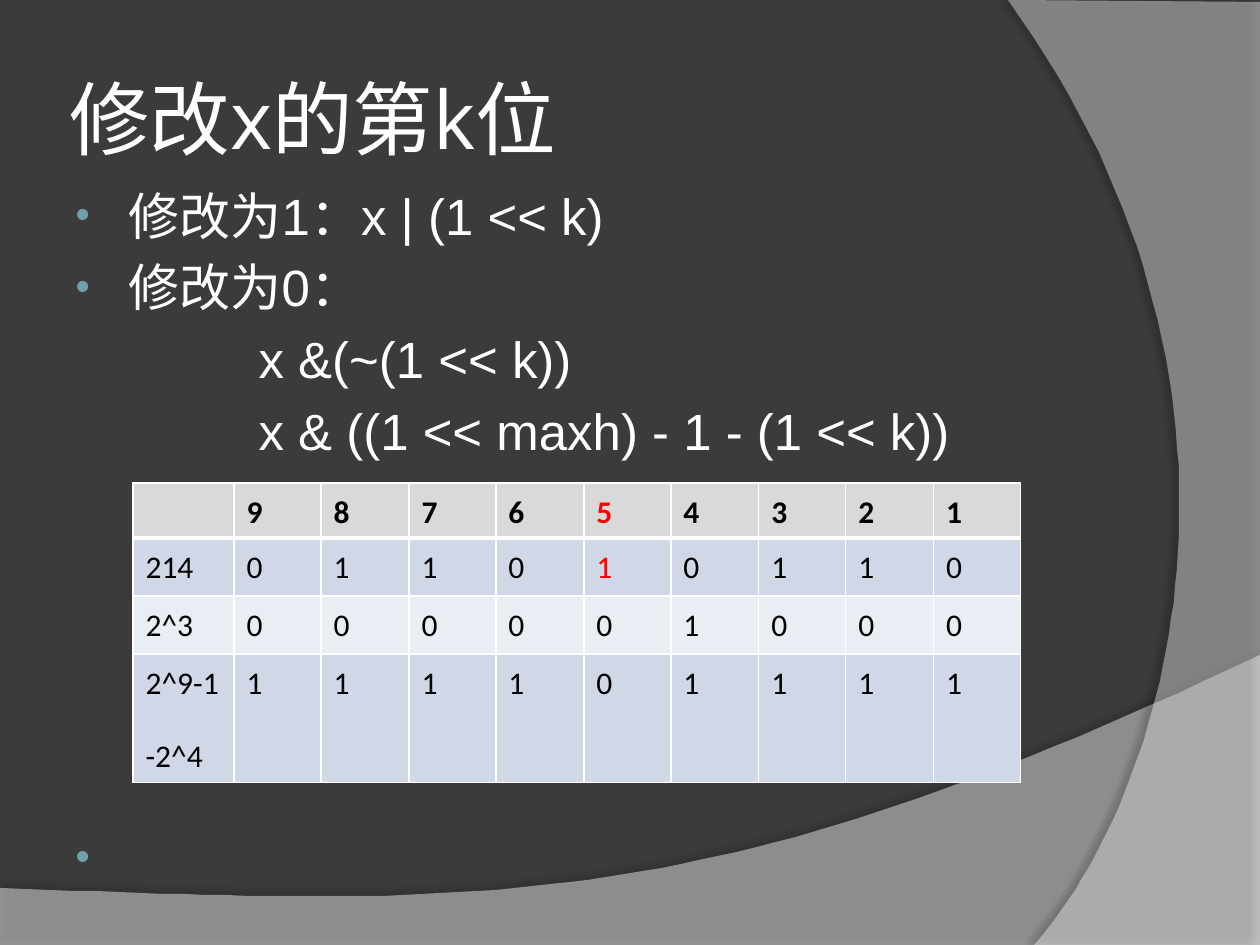
from dataclasses import dataclass

from lxml import etree
from pptx import Presentation
from pptx import util as u
from pptx.dml.color import RGBColor
from pptx.enum import text
from pptx.oxml import parse_xml
from pptx.oxml.ns import nsdecls, qn

PIXEL = 914400 / 126


@dataclass(frozen=True)
class Theme:
    background: str = "3B3B3B"
    light: str = "FFFFFF"
    ink: str = "000000"
    accent: str = "FF0000"
    bullet: str = "6EA0B0"
    header: str = "D9D9D9"
    bands: tuple = ("D0D8E8", "E9EDF4")
    title_font: str = "Open Sans"
    body_font: str = "Arial"
    table_font: str = "Calibri"
    title_size: float = 46
    body_size: float = 29.1
    table_size: float = 18
    thin: float = 0.96
    thick: float = 3


def px(value):
    return u.Emu(round(value * PIXEL))


def bezier(start, first, second, end, steps=60):
    points = []
    for step in range(1, steps + 1):
        t = step / steps
        weights = ((1 - t) ** 3, 3 * t * (1 - t) ** 2, 3 * t * t * (1 - t), t ** 3)
        corners = (start, first, second, end)
        points.append(tuple(sum(w * c[axis] for w, c in zip(weights, corners))
                            for axis in (0, 1)))
    return points


class SlideBuilder:
    def __init__(self, deck, theme):
        self.theme = theme
        self.page = deck.slides.add_slide(deck.slide_layouts[1])
        fill = self.page.background.fill
        fill.solid()
        fill.fore_color.rgb = RGBColor.from_string(theme.background)

    def span(self, para, words, font, size, color, bold=False):
        span = para.add_run()
        span.text = words
        span.font.name = font
        span.font.size = u.Pt(size)
        span.font.bold = bold
        span.font.color.rgb = RGBColor.from_string(color)

    def swoosh(self, corners, curve, opacity, shadow_opacity, distance, direction):
        points = corners + bezier(corners[-1], *curve)
        builder = self.page.shapes.build_freeform(*points[0], scale=PIXEL)
        builder.add_line_segments(points[1:], close=True)
        shape = builder.convert_to_shape()
        shape.fill.solid()
        shape.fill.fore_color.rgb = RGBColor.from_string(self.theme.light)
        shape.line.fill.background()
        color = shape.element.spPr.find(qn("a:solidFill"))[0]
        etree.SubElement(color, qn("a:alpha"), val=str(opacity * 1000))
        shape.element.spPr.append(parse_xml(
            f'<a:effectLst {nsdecls("a")}><a:outerShdw blurRad="{u.Pt(4)}" '
            f'dist="{u.Pt(distance)}" dir="{direction * 60000}" algn="ctr" rotWithShape="0">'
            f'<a:srgbClr val="{self.theme.ink}"><a:alpha val="{shadow_opacity * 1000}"/>'
            '</a:srgbClr></a:outerShdw></a:effectLst>'))

    def placeholder(self, index, left, top, width, height, anchor, side_inset):
        box = self.page.placeholders[index]
        box.left, box.top, box.width, box.height = map(px, (left, top, width, height))
        frame = box.text_frame
        frame.word_wrap = True
        frame.auto_size = text.MSO_AUTO_SIZE.NONE
        frame.vertical_anchor = anchor
        frame.margin_left = frame.margin_right = u.Inches(side_inset)
        frame.margin_top = frame.margin_bottom = u.Inches(0.05)
        box.element.getparent().append(box.element)
        return frame

    def title(self, words, *place):
        theme = self.theme
        frame = self.placeholder(0, *place, text.MSO_ANCHOR.MIDDLE, 0.05)
        para = frame.paragraphs[0]
        para.alignment = text.PP_ALIGN.LEFT
        self.span(para, words, theme.title_font, theme.title_size, theme.light)

    def body(self, lines, *place):
        theme = self.theme
        frame = self.placeholder(1, *place, text.MSO_ANCHOR.TOP, 0.1)
        for index, (words, bulleted, before) in enumerate(lines):
            para = frame.paragraphs[0] if index == 0 else frame.add_paragraph()
            para.space_before = u.Pt(before)
            self.span(para, words, theme.body_font, theme.body_size, theme.light)
            self.bullet(para, bulleted)

    def bullet(self, para, bulleted):
        props = para._p.get_or_add_pPr()
        props.set("marL", str(px(58 if bulleted else 188)))
        props.set("indent", str(px(-53 if bulleted else 0)))
        if not bulleted:
            etree.SubElement(props, qn("a:buNone"))
            return
        color = etree.SubElement(props, qn("a:buClr"))
        etree.SubElement(color, qn("a:srgbClr"), val=self.theme.bullet)
        etree.SubElement(props, qn("a:buSzPct"), val="80000")
        etree.SubElement(props, qn("a:buFont"), typeface=self.theme.body_font)
        etree.SubElement(props, qn("a:buChar"), char="•")

    def table(self, rows, heights, left, top, width, label_width, marked):
        count = len(rows[0])
        frame = self.page.shapes.add_table(
            len(rows), count, px(left), px(top), px(width), px(sum(heights)))
        table = frame.table
        table.horz_banding = False
        step = (width - label_width) / (count - 1)
        edges = [0] + [round(label_width + step * i) for i in range(count)]
        for column, start, end in zip(table.columns, edges, edges[1:]):
            column.width = px(end - start)
        for r, (words, height) in enumerate(zip(rows, heights)):
            table.rows[r].height = px(height)
            for c, value in enumerate(words):
                self.cell(table.cell(r, c), value, r, (r, c) in marked)

    def cell(self, cell, value, row, is_marked):
        theme = self.theme
        cell.fill.solid()
        cell.fill.fore_color.rgb = RGBColor.from_string(
            theme.bands[(row - 1) % 2] if row else theme.header)
        widths = {"L": theme.thin, "R": theme.thin,
                  "T": theme.thick if row == 1 else theme.thin,
                  "B": theme.thin if row else theme.thick}
        for position, (side, width) in enumerate(widths.items()):
            cell._tc.tcPr.insert(position, parse_xml(
                f'<a:ln{side} {nsdecls("a")} w="{u.Pt(width)}"><a:solidFill>'
                f'<a:srgbClr val="{theme.light}"/></a:solidFill></a:ln{side}>'))
        if not value:
            return
        for index, words in enumerate(value.split("\n")):
            para = cell.text_frame.paragraphs[0] if index == 0 else cell.text_frame.add_paragraph()
            para.alignment = text.PP_ALIGN.JUSTIFY
            para.line_spacing = 1.1
            para.space_before = u.Pt(18)
            self.span(para, words, theme.table_font, theme.table_size,
                      theme.accent if is_marked else theme.ink, row == 0)


deck = Presentation()
deck.slide_width, deck.slide_height = px(1260), px(945)
slide = SlideBuilder(deck, Theme())

slide.swoosh([(0, 888), (0, 945), (1260, 945), (1260, 655)],
             [(704, 919), (493, 906), (0, 888)], 45, 35, 3.5, 270)
slide.swoosh([(1260, 2), (1260, 945), (1034, 945)],
             [(1178, 780), (1283, 378), (1008, 0)], 40, 45, 4, 180)

slide.title("修改x的第k位", 63, 38, 1029, 158)
slide.body([
    ("修改为1：x | (1 << k)", True, 6),
    ("修改为0：", True, 6),
    ("x &(~(1 << k))", False, 6),
    ("x & ((1 << maxh) - 1 - (1 << k))", False, 6),
    (" ", True, 209),
], 58, 178, 1187, 714)

bit_rows = [
    ["", *"987654321"],
    ["214", *"011010110"],
    ["2^3", *"000001000"],
    ["2^9-1\n-2^4", *"111101111"],
]
slide.table(bit_rows, (48, 58, 58, 113), 133, 483, 888, 101, {(0, 5), (1, 5)})

deck.save("out.pptx")
